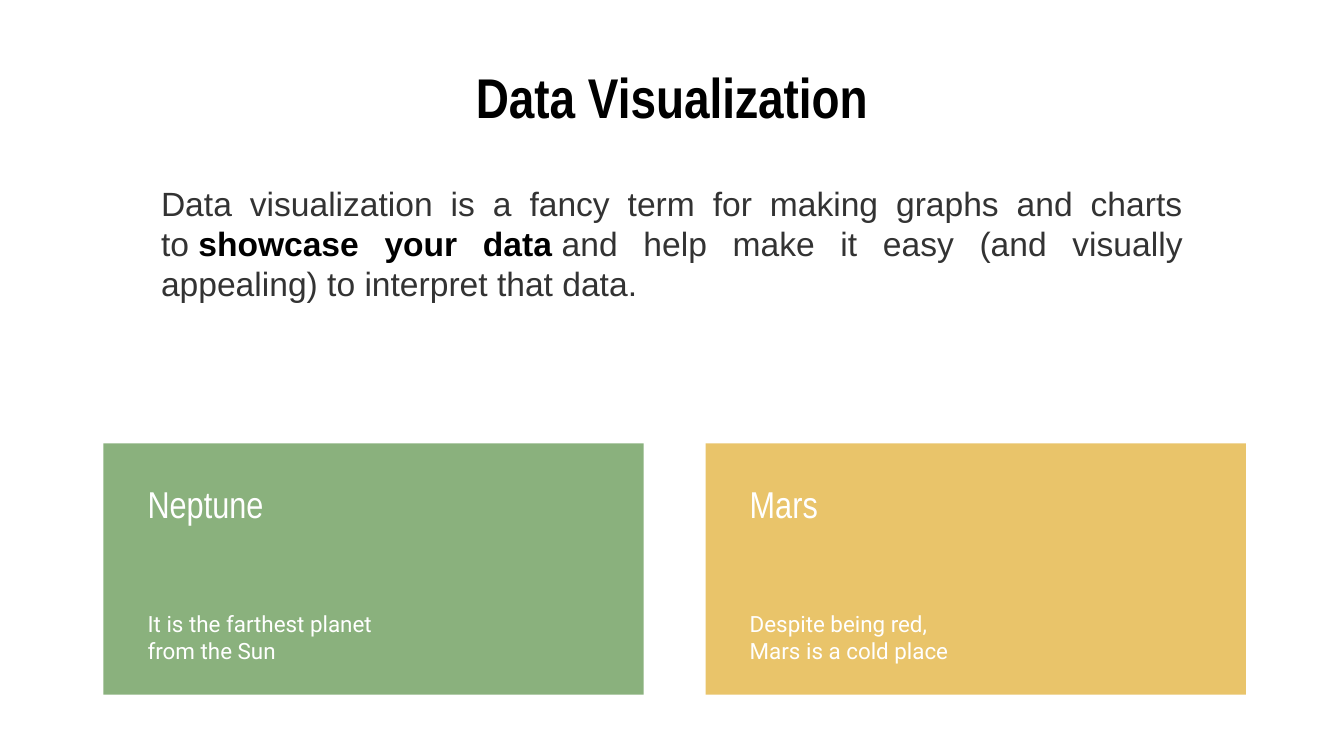
import pptx
import pptx.util
import pptx.dml.color
import pptx.enum.shapes
import pptx.enum.text

RGB = pptx.dml.color.RGBColor
ALIGN = pptx.enum.text.PP_ALIGN
ANCHOR = pptx.enum.text.MSO_ANCHOR

BLACK = RGB(0x00, 0x00, 0x00)
GREY = RGB(0x33, 0x33, 0x33)
WHITE = RGB(0xFF, 0xFF, 0xFF)
GREEN = RGB(0x8A, 0xB1, 0x7D)
GOLD = RGB(0xE9, 0xC4, 0x6A)

HEAD = "Arial Narrow"
BODY = "Arial"
NOTE = "Roboto"

WIDE = 10
HIGH = WIDE * 9 / 16
COLS = 100  # square grid cells across the slide
HARD = chr(160)  # no-break space

CARDS = [
    ("Neptune", "It is the farthest planet from the Sun", GREEN, 19.8),
    ("Mars", "Despite being red,\nMars is a cold place", GOLD, 34.2),
]
LEFT, STEP = 7.7, 44.8  # first card and pitch, in columns


class Deck:
    """Slide style and drawing methods; lengths are in grid cells."""

    def __init__(self):
        self.show = pptx.Presentation()
        self.show.slide_width = pptx.util.Inches(WIDE)
        self.show.slide_height = pptx.util.Inches(HIGH)
        self.cell = self.show.slide_width / COLS
        self.slide = self.show.slides.add_slide(self.show.slide_layouts[5])

    def box(self, *cells):
        return [round(n * self.cell) for n in cells]

    def inset(self, frame, side, top):
        frame.margin_left = frame.margin_right = round(side * self.cell)
        frame.margin_top = frame.margin_bottom = round(top * self.cell)

    def style(self, para, face, size, color, bold=False, align=ALIGN.LEFT):
        font = para.font
        font.name, font.size, font.bold = face, pptx.util.Pt(size), bold
        font.color.rgb = color
        para.alignment = align

    def title(self, text, *cells):
        head = self.slide.shapes.title
        head.left, head.top, head.width, head.height = self.box(*cells)
        frame = head.text_frame
        frame.text = text
        frame.vertical_anchor = ANCHOR.MIDDLE
        self.inset(frame, 1, 1)
        self.style(frame.paragraphs[0], HEAD, 30, BLACK, True, ALIGN.CENTER)

    def frame(self, *cells):
        shape = self.slide.shapes.add_textbox(*self.box(*cells))
        shape.text_frame.word_wrap = True
        return shape.text_frame

    def label(self, text, face, size, *cells):
        frame = self.frame(*cells)
        frame.vertical_anchor = ANCHOR.MIDDLE
        self.inset(frame, 1, 1)
        para = frame.paragraphs[0]
        para.text = text
        self.style(para, face, size, WHITE)

    def intro(self, parts, *cells):
        """Justified paragraph of (text, is key phrase) parts."""
        frame = self.frame(*cells)
        frame.auto_size = pptx.enum.text.MSO_AUTO_SIZE.SHAPE_TO_FIT_TEXT
        self.inset(frame, 1, 0.5)
        para = frame.paragraphs[0]
        self.style(para, BODY, 18, GREY, align=ALIGN.JUSTIFY)
        for text, key in parts:
            run = para.add_run()
            run.text = text
            run.font.bold = key
            run.font.color.rgb = BLACK if key else GREY

    def panel(self, color, *cells):
        kind = pptx.enum.shapes.MSO_SHAPE.RECTANGLE
        shape = self.slide.shapes.add_shape(kind, *self.box(*cells))
        shape.shadow.inherit = False
        shape.fill.solid()
        shape.fill.fore_color.rgb = color
        shape.line.fill.background()

    def card(self, left, name, note, color, wide):
        self.panel(color, left, 33, 40.2, 18.7)
        self.label(name, HEAD, 20, left + 2.3, 35, 18.2, 4.9)
        self.label(note, NOTE, 12, left + 2.3, 44.9, wide, 5)


def main():
    deck = Deck()
    deck.title("Data Visualization", 5, 4.5, 90, 5.3)
    deck.intro([
        ("Data visualization is a fancy term for making graphs and charts to" + HARD, False),
        ("showcase your data", True),
        (HARD + "and help make it easy (and visually appealing) to interpret that data.", False),
    ], 11, 13.1, 78, 10.1)
    for i, card in enumerate(CARDS):
        deck.card(LEFT + i * STEP, *card)
    deck.show.save("out.pptx")


if __name__ == "__main__":
    main()
